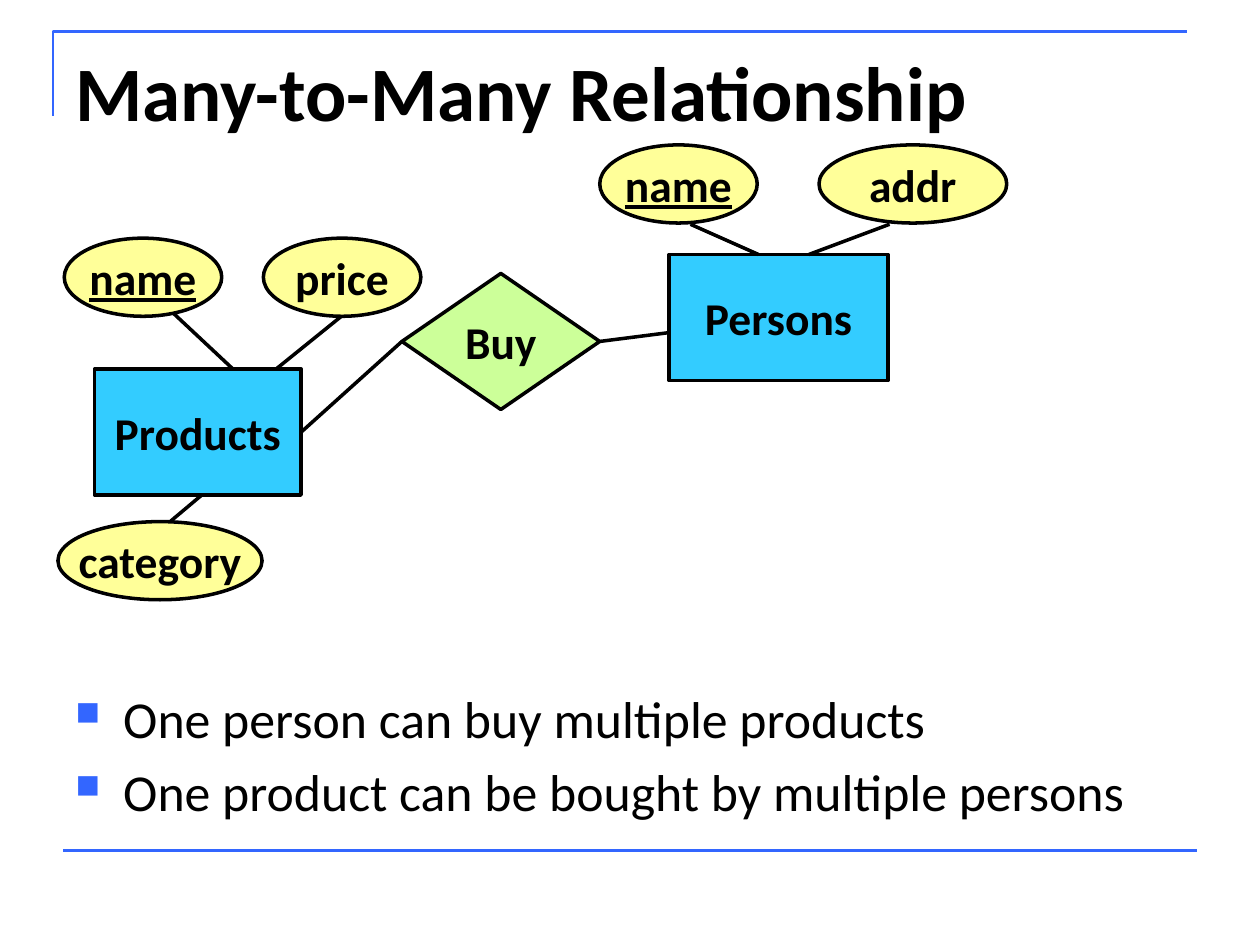
from dataclasses import dataclass

from lxml import etree
from pptx import Presentation
from pptx.dml.color import RGBColor
from pptx.enum.shapes import MSO_CONNECTOR, MSO_SHAPE
from pptx.enum.text import MSO_ANCHOR, MSO_AUTO_SIZE, PP_ALIGN
from pptx.oxml.ns import qn
from pptx.util import Inches, Pt

STRAIGHT = MSO_CONNECTOR.STRAIGHT
RECTANGLE, ELLIPSE, DIAMOND = MSO_SHAPE.RECTANGLE, MSO_SHAPE.OVAL, MSO_SHAPE.DIAMOND
LEFT, CENTER = PP_ALIGN.LEFT, PP_ALIGN.CENTER
TOP, MIDDLE = MSO_ANCHOR.TOP, MSO_ANCHOR.MIDDLE
NO_AUTOFIT = MSO_AUTO_SIZE.NONE
LEFT_SIDE, RIGHT_SIDE = 1, 3


@dataclass(frozen=True)
class Theme:
    font: str = "Calibri"
    ink: str = "000000"
    accent: str = "3366FF"
    entity: str = "33CCFF"
    attribute: str = "FFFF99"
    relationship: str = "CCFF99"
    title_size: float = 44
    body_size: float = 29.6
    label_size: float = 26
    rule_width: float = 1.5
    outline_width: float = 2


THEME = Theme()

# Left, top, width, text, underlined as key
ATTRIBUTES = [
    (6.5, 1.15, 1.49, "addr", False),
    (4.76, 1.15, 1.25, "name", True),
    (0.51, 1.89, 1.25, "name", True),
    (2.09, 1.89, 1.25, "price", False),
    (0.46, 4.14, 1.62, "category", False),
]
ATTRIBUTE_LINKS = [
    ((5.48, 1.78), (6.02, 2.02)),
    ((7.06, 1.78), (6.42, 2.02)),
    ((1.38, 2.49), (1.85, 2.93)),
    ((2.71, 2.51), (2.19, 2.93)),
    ((1.35, 4.14), (1.6, 3.93)),
]
STATEMENTS = [
    "One person can buy multiple products",
    "One product can be bought by multiple persons",
]


def color(value):
    return RGBColor.from_string(value)


def style_paragraph(para, size, bold=False, align=LEFT):
    para.alignment = align
    font = para.font
    font.name, font.size, font.bold = THEME.font, Pt(size), bold
    font.color.rgb = color(THEME.ink)


def style_line(line, value, width):
    line.color.rgb = color(value)
    line.width = Pt(width)


def add_node(page, kind, left, top, width, height, text, fill, underline=False):
    node = page.shapes.add_shape(
        kind, Inches(left), Inches(top), Inches(width), Inches(height))
    node.shadow.inherit = False
    node.fill.solid()
    node.fill.fore_color.rgb = color(fill)
    style_line(node.line, THEME.ink, THEME.outline_width)
    frame = node.text_frame
    frame.word_wrap = False
    frame.vertical_anchor = MIDDLE
    para = frame.paragraphs[0]
    para.text = text
    style_paragraph(para, THEME.label_size, bold=True, align=CENTER)
    if underline:
        para.font.underline = True
    return node


def add_link(page, start, end, value=THEME.ink, width=THEME.outline_width):
    link = page.shapes.add_connector(
        STRAIGHT, *(Inches(number) for number in (*start, *end)))
    style_line(link.line, value, width)
    etree.SubElement(link._element.spPr, qn("a:effectLst"))
    return link


def add_bullet(para):
    properties = para._p.get_or_add_pPr()
    properties.set("marL", str(Inches(0.38)))
    properties.set("indent", str(Inches(-0.38)))
    bullet_color = etree.SubElement(properties, qn("a:buClr"))
    etree.SubElement(bullet_color, qn("a:srgbClr"), val=THEME.accent)
    etree.SubElement(properties, qn("a:buSzPct"), val="65000")
    etree.SubElement(properties, qn("a:buChar"), char="■")


def add_page_rules(page):
    builder = page.shapes.build_freeform(Inches(0.42), Inches(0.92))
    builder.add_line_segments(
        [(Inches(0.42), Inches(0.25)), (Inches(9.42), Inches(0.25))], close=False)
    corner = builder.convert_to_shape()
    corner.shadow.inherit = False
    corner.fill.background()
    style_line(corner.line, THEME.accent, THEME.rule_width)
    add_link(page, (0.5, 6.75), (9.5, 6.75), THEME.accent, THEME.rule_width)


def set_title(page, text):
    title = page.shapes.title
    title.left, title.top = Inches(0.5), Inches(0.3)
    title.width, title.height = Inches(9), Inches(1.25)
    frame = title.text_frame
    frame.auto_size = NO_AUTOFIT
    frame.vertical_anchor = TOP
    frame.text = text
    style_paragraph(frame.paragraphs[0], THEME.title_size, bold=True)


def add_statements(page, statements):
    box = page.shapes.add_textbox(Inches(0.5), Inches(5.4), Inches(9), Inches(1.3))
    frame = box.text_frame
    frame.word_wrap = True
    for index, statement in enumerate(statements):
        para = frame.add_paragraph() if index else frame.paragraphs[0]
        para.text = statement
        add_bullet(para)
        style_paragraph(para, THEME.body_size)
        if index:
            para.space_before = Pt(6)


def add_diagram(page):
    # Entities and the relationship between them
    add_node(page, RECTANGLE, 5.31, 2.02, 1.74, 1, "Persons", THEME.entity)
    products = add_node(page, RECTANGLE, 0.75, 2.93, 1.64, 1, "Products", THEME.entity)
    buy = add_node(page, DIAMOND, 3.19, 2.17, 1.57, 1.08, "Buy", THEME.relationship)

    # Attributes
    for left, top, width, text, is_key in ATTRIBUTES:
        add_node(page, ELLIPSE, left, top, width, 0.62, text, THEME.attribute, is_key)
    for start, end in ATTRIBUTE_LINKS:
        add_link(page, start, end)

    # Relationship links
    to_products = add_link(page, (3.19, 2.71), (2.39, 3.43))
    to_products.begin_connect(buy, LEFT_SIDE)
    to_products.end_connect(products, RIGHT_SIDE)
    to_persons = add_link(page, (4.76, 2.71), (5.31, 2.64))
    to_persons.begin_connect(buy, RIGHT_SIDE)


def main():
    deck = Presentation()
    deck.slide_width, deck.slide_height = Inches(10), Inches(7.5)
    page = deck.slides.add_slide(deck.slide_layouts[5])
    add_page_rules(page)
    set_title(page, "Many-to-Many Relationship")
    add_statements(page, STATEMENTS)
    add_diagram(page)
    deck.save("out.pptx")


if __name__ == "__main__":
    main()
